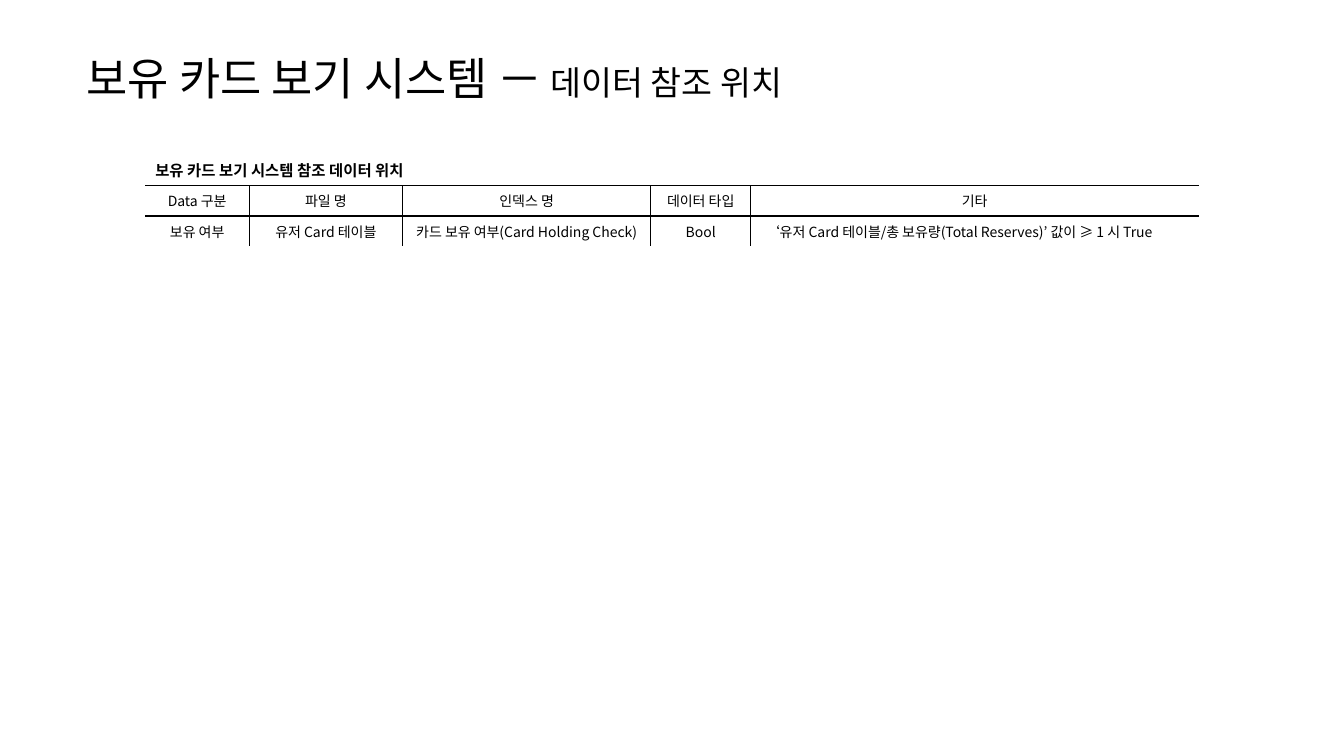
from dataclasses import dataclass

from lxml.etree import SubElement
from pptx import Presentation
from pptx.dml.color import RGBColor
from pptx.enum.text import MSO_ANCHOR, PP_ALIGN
from pptx.oxml.ns import qn
from pptx.util import Inches, Pt


@dataclass(frozen=True)
class Theme:
    font: str = "Noto Sans CJK KR"
    ink: str = "000000"
    title: int = 32
    subtitle: int = 24
    caption: int = 11
    body: int = 10
    rule: int = 1


THEME = Theme()
CAPTION = "보유 카드 보기 시스템 참조 데이터 위치"
ROWS = [
    ["Data 구분", "파일 명", "인덱스 명", "데이터 타입", "기타"],
    ["보유 여부", "유저 Card 테이블", "카드 보유 여부(Card Holding Check)", "Bool",
     "‘유저 Card 테이블/총 보유량(Total Reserves)’ 값이 ≥ 1 시 True"],
]
COLUMN_WIDTHS = [1.03, 1.52, 2.46, 0.99, 4.44]
ROW_HEIGHTS = [0.32, 0.3, 0.3]


def style_paragraph(paragraph, size, bold=False):
    font = paragraph.font
    font.name = THEME.font
    font.size = Pt(size)
    font.bold = bold
    font.color.rgb = RGBColor.from_string(THEME.ink)
    # Korean glyphs take the East Asian typeface
    properties = paragraph._p.pPr.find(qn("a:defRPr"))
    SubElement(properties, qn("a:ea"), typeface=THEME.font)


def set_borders(cell, visible):
    properties = cell._tc.get_or_add_tcPr()
    for side in "LRTB":
        line = SubElement(properties, qn(f"a:ln{side}"), w=str(Pt(THEME.rule)))
        if side in visible:
            fill = SubElement(line, qn("a:solidFill"))
            SubElement(fill, qn("a:srgbClr"), val=THEME.ink)
        else:
            SubElement(line, qn("a:noFill"))


def add_title(slide, left, top, width, height):
    box = slide.shapes.add_textbox(Inches(left), Inches(top), Inches(width), Inches(height))
    frame = box.text_frame
    frame.word_wrap = True
    frame.vertical_anchor = MSO_ANCHOR.MIDDLE
    paragraph = frame.paragraphs[0]
    style_paragraph(paragraph, THEME.title)
    paragraph.add_run().text = "보유 카드 보기 시스템 －"
    subtitle = paragraph.add_run()
    subtitle.text = " 데이터 참조 위치"
    subtitle.font.size = Pt(THEME.subtitle)


def add_reference_table(slide, left, top, width, height):
    frame = slide.shapes.add_table(len(ROW_HEIGHTS), len(COLUMN_WIDTHS), Inches(left),
                                   Inches(top), Inches(width), Inches(height))
    table = frame.table
    table.first_row = False
    table.horz_banding = False
    for column, share in zip(table.columns, COLUMN_WIDTHS):
        column.width = Inches(width * share / sum(COLUMN_WIDTHS))
    for row, share in zip(table.rows, ROW_HEIGHTS):
        row.height = Inches(height * share / sum(ROW_HEIGHTS))

    # Rules run only between neighbouring cells; the outer edge stays open
    last_row, last_column = len(ROW_HEIGHTS) - 1, len(COLUMN_WIDTHS) - 1
    for r in range(last_row + 1):
        for c in range(last_column + 1):
            sides = "T" * (r > 0) + "B" * (r < last_row)
            if r > 0:
                sides += "L" * (c > 0) + "R" * (c < last_column)
            set_borders(table.cell(r, c), sides)
            table.cell(r, c).fill.background()

    # Caption across all columns
    caption = table.cell(0, 0)
    caption.merge(table.cell(0, last_column))
    caption.text = CAPTION
    style_paragraph(caption.text_frame.paragraphs[0], THEME.caption, bold=True)

    # Headings and data
    for r, texts in enumerate(ROWS, start=1):
        for c, text in enumerate(texts):
            cell = table.cell(r, c)
            cell.text = text
            cell.vertical_anchor = MSO_ANCHOR.MIDDLE
            paragraph = cell.text_frame.paragraphs[0]
            paragraph.alignment = PP_ALIGN.CENTER
            style_paragraph(paragraph, THEME.body)

    # The long note starts at the left of its cell
    note = table.cell(last_row, last_column)
    note.margin_left = Inches(0.15)
    note.margin_right = note.margin_top = Inches(0.01)
    note.margin_bottom = 0
    note.text_frame.paragraphs[0].alignment = PP_ALIGN.LEFT


def main():
    presentation = Presentation()
    presentation.slide_width = Inches(13.33)
    presentation.slide_height = Inches(7.5)
    slide = presentation.slides.add_slide(presentation.slide_layouts[6])
    add_reference_table(slide, 1.44, 1.52, 10.45, 0.92)
    add_title(slide, 0.76, 0.42, 11.81, 0.69)
    presentation.save("out.pptx")


if __name__ == "__main__":
    main()
